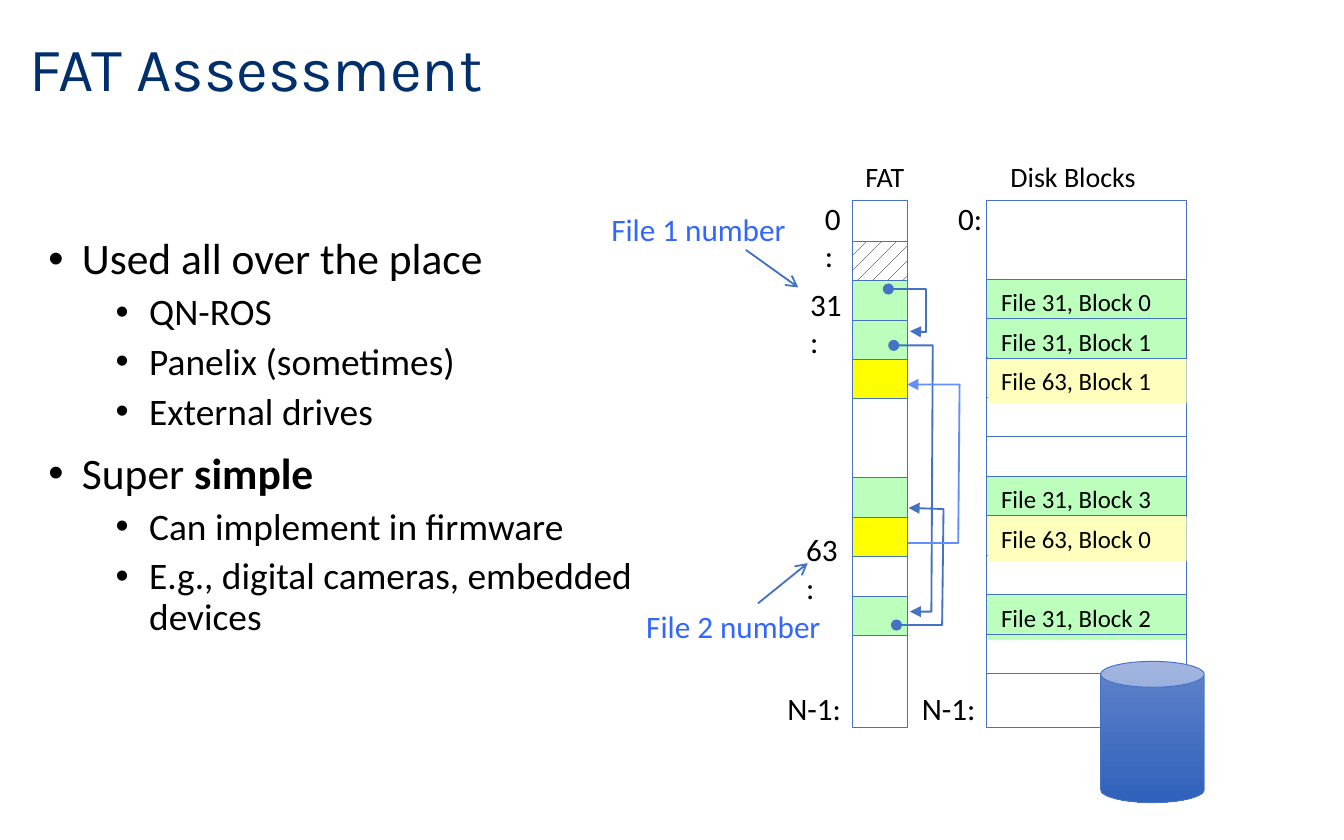
"""Build the FAT assessment slide: bullet list, allocation table and disk blocks."""
from typing import NamedTuple, Optional

from lxml.etree import SubElement
from pptx import Presentation
from pptx.dml.color import RGBColor
from pptx.enum.dml import MSO_PATTERN
from pptx.enum.shapes import MSO_CONNECTOR, MSO_SHAPE
from pptx.enum.text import MSO_ANCHOR, MSO_AUTO_SIZE, PP_ALIGN
from pptx.oxml.ns import qn
from pptx.util import Inches, Pt

BLACK = RGBColor(0x00, 0x00, 0x00)
WHITE = RGBColor(0xFF, 0xFF, 0xFF)
NAVY = RGBColor(0x00, 0x2F, 0x6C)
BLUE = RGBColor(0x44, 0x72, 0xC4)
LIGHT_BLUE = RGBColor(0x61, 0x8F, 0xFD)
LABEL_BLUE = RGBColor(0x33, 0x66, 0xFF)
GREEN = RGBColor(0xBC, 0xFF, 0xBC)
YELLOW = RGBColor(0xFF, 0xFF, 0x00)
PALE_YELLOW = RGBColor(0xFF, 0xFF, 0xBD)
CAN_TOP = RGBColor(0x61, 0x83, 0xCB)
CAN_BOTTOM = RGBColor(0x30, 0x62, 0xBB)

COLUMN = Inches(1)
ROW = Inches(0.2935)
GRID_TOP = Inches(1.49)
FAT_COLUMN, FAT_WIDTH = 6.34, 0.41
DISK_COLUMN, DISK_WIDTH = 7.34, 1.49
TABLE_ROWS = 13.36


class Box(NamedTuple):
    """A rectangle in grid columns and rows."""
    column: float
    row: float
    columns: float
    rows: float


class Block(NamedTuple):
    """A used disk block."""
    row: int
    text: str
    color: RGBColor


class Label(NamedTuple):
    """A free text label."""
    text: str
    box: Box
    size: float = 16.7
    color: RGBColor = BLACK
    wrap: bool = False


class Link(NamedTuple):
    """A bent arrow from one table entry to the next."""
    points: tuple
    color: RGBColor = BLUE
    head: str = "oval"


class Bullet(NamedTuple):
    """A list item made of (text, bold) runs."""
    level: int
    runs: tuple


GREEN_BLOCKS = (
    Block(7, "File 31, Block 3", GREEN),
    Block(2, "File 31, Block 0", GREEN),
    Block(3, "File 31, Block 1", GREEN),
    Block(10, "File 31, Block 2", GREEN),
)
YELLOW_BLOCKS = (
    Block(4, "File 63, Block 1", PALE_YELLOW),
    Block(8, "File 63, Block 0", PALE_YELLOW),
)
EMPTY_ROWS = (5, 6, 9, 11)
GREEN_ENTRIES = (2, 3, 7, 10)
YELLOW_ENTRIES = (4, 8)

LABELS = (
    Label("Disk Blocks", Box(7.42, -1.19, 1.35, 1.19), 15),
    Label("FAT", Box(6.34, -1.19, 0.54, 1.19), 15),
    Label("N-1:", Box(6.76, 12.23, 0.62, 1.29)),
    Label("0:", Box(7.03, -0.2, 0.39, 1.29)),
    Label("0:", Box(6.04, -0.2, 0.37, 1.29), wrap=True),
    Label("N-1:", Box(5.76, 12.23, 0.63, 1.29)),
    Label("63:", Box(5.9, 8.21, 0.49, 1.29), wrap=True),
    Label("31:", Box(5.93, 1.98, 0.49, 1.29), wrap=True),
    Label("File 1 number", Box(4.45, 0.1, 1.51, 1.29), color=LABEL_BLUE),
    Label("File 2 number", Box(4.71, 10.15, 1.51, 1.29), color=LABEL_BLUE),
)
LINKS = (
    Link(((6.61, 2.25), (6.89, 2.25), (6.89, 3.34), (6.77, 3.32))),
    Link(((6.65, 3.68), (6.94, 3.68), (6.93, 10.43), (6.77, 10.43))),
    Link(((6.67, 10.77), (7.01, 10.77), (7.02, 7.83), (6.76, 7.8))),
    Link(((6.63, 8.69), (7.13, 8.69), (7.14, 4.67), (6.75, 4.67)), LIGHT_BLUE, "diamond"),
)
POINTERS = (((5.55, 1.26), (5.94, 2.21)), ((5.64, 10.22), (6.01, 9.2)))
BULLETS = (
    Bullet(0, (("Used all over the place", False),)),
    Bullet(1, (("QN-ROS", False),)),
    Bullet(1, (("Panelix (sometimes)", False),)),
    Bullet(1, (("External drives", False),)),
    Bullet(0, (("Super ", False), ("simple", True))),
    Bullet(1, (("Can implement in firmware", False),)),
    Bullet(1, (("E.g., digital cameras, embedded devices", False),)),
)


def point(column: float, row: float) -> tuple:
    """Turn a grid position into slide lengths."""
    return int(column * COLUMN), int(GRID_TOP + row * ROW)


def frame(box: Box) -> tuple:
    """Turn a grid box into left, top, width and height."""
    return (*point(box.column, box.row), int(box.columns * COLUMN), int(box.rows * ROW))


def place(shape, box: Box) -> None:
    """Move a placeholder to a grid box."""
    shape.left, shape.top, shape.width, shape.height = frame(box)


def add_run(paragraph, text: str, size: float, color: RGBColor, font: str = "Calibri", bold: bool = False) -> None:
    """Append a formatted run."""
    run = paragraph.add_run()
    run.text = text
    run.font.size, run.font.name, run.font.bold = Pt(size), font, bold
    run.font.color.rgb = color


def add_box(slide, box: Box, color: Optional[RGBColor] = None, outlined: bool = True, kind=MSO_SHAPE.RECTANGLE):
    """Draw a preset shape with optional fill and outline."""
    shape = slide.shapes.add_shape(kind, *frame(box))
    shape.shadow.inherit = False
    if color is None:
        shape.fill.background()
    else:
        shape.fill.solid()
        shape.fill.fore_color.rgb = color
    if outlined:
        shape.line.color.rgb, shape.line.width = BLUE, Pt(0.5)
    else:
        shape.line.fill.background()
    return shape


def add_entry(slide, row: float, color: Optional[RGBColor] = None):
    """Draw one cell of the allocation table."""
    return add_box(slide, Box(FAT_COLUMN, row + 0.04, FAT_WIDTH, 1), color)


def add_block(slide, block: Block) -> None:
    """Draw a disk block with its caption."""
    add_box(slide, Box(DISK_COLUMN, block.row, DISK_WIDTH, 1), block.color)
    caption = add_box(slide, Box(7.35, block.row + 0.03, 1.48, 1.12), block.color, False)
    caption.text_frame.vertical_anchor = MSO_ANCHOR.TOP
    paragraph = caption.text_frame.paragraphs[0]
    paragraph.alignment = PP_ALIGN.LEFT
    add_run(paragraph, block.text, 13.3, BLACK)


def add_label(slide, label: Label) -> None:
    """Draw a text label."""
    text_frame = slide.shapes.add_textbox(*frame(label.box)).text_frame
    text_frame.word_wrap = label.wrap
    add_run(text_frame.paragraphs[0], label.text, label.size, label.color)


def style_arrow(shape, color: RGBColor, tail: str, head: Optional[str] = None) -> None:
    """Set the line of an arrow and its two ends."""
    shape.line.color.rgb, shape.line.width = color, Pt(1)
    line = shape.line._get_or_add_ln()
    if head:
        SubElement(line, qn("a:headEnd"), type=head)
    SubElement(line, qn("a:tailEnd"), type=tail)


def add_link(slide, link: Link) -> None:
    """Draw a bent arrow."""
    start, *others = (point(*position) for position in link.points)
    builder = slide.shapes.build_freeform(*start)
    builder.add_line_segments(others, close=False)
    shape = builder.convert_to_shape()
    shape.shadow.inherit = False
    shape.fill.background()
    style_arrow(shape, link.color, "triangle", link.head)


def add_pointer(slide, start: tuple, end: tuple) -> None:
    """Draw a straight arrow."""
    connector = slide.shapes.add_connector(MSO_CONNECTOR.STRAIGHT, *point(*start), *point(*end))
    SubElement(connector._element.spPr, qn("a:effectLst"))
    style_arrow(connector, BLUE, "arrow")


def fill_title(title) -> None:
    """Write the slide title."""
    place(title, Box(0.12, -4.74, 8.52, 2.93))
    title.text_frame.vertical_anchor = MSO_ANCHOR.MIDDLE
    title.text_frame.auto_size = MSO_AUTO_SIZE.NONE
    paragraph = title.text_frame.paragraphs[0]
    paragraph.alignment, paragraph.line_spacing = PP_ALIGN.LEFT, 0.9
    add_run(paragraph, "FAT Assessment", 33, NAVY, "Karla")


def fill_body(body) -> None:
    """Write the bullet list."""
    place(body, Box(0.28, 0.8, 4.56, 13.55))
    text_frame = body.text_frame
    text_frame.auto_size, text_frame.vertical_anchor = MSO_AUTO_SIZE.NONE, MSO_ANCHOR.TOP
    text_frame.margin_left = text_frame.margin_right = Inches(0.08)
    text_frame.margin_top = text_frame.margin_bottom = Inches(0.04)
    for index, bullet in enumerate(BULLETS):
        paragraph = text_frame.add_paragraph() if index else text_frame.paragraphs[0]
        paragraph.level, paragraph.line_spacing = bullet.level, 0.9
        paragraph.space_before = Pt((5 if bullet.level else 10) if index else 0)
        properties = paragraph._p.get_or_add_pPr()
        properties.set("marL", str(Inches(0.25 + 0.5 * bullet.level)))
        properties.set("indent", str(-Inches(0.25)))
        SubElement(properties, qn("a:buFont"), typeface="Arial")
        SubElement(properties, qn("a:buChar"), char="•")
        for text, bold in bullet.runs:
            add_run(paragraph, text, 20 if bullet.level else 23.3, BLACK, bold=bold)


def main() -> None:
    """Build and save the presentation."""
    presentation = Presentation()
    presentation.slide_width, presentation.slide_height = Inches(10), Inches(6.25)
    slide = presentation.slides.add_slide(presentation.slide_layouts[1])
    fill_title(slide.shapes.title)
    fill_body(slide.placeholders[1])
    for block in GREEN_BLOCKS:
        add_block(slide, block)
    for row in EMPTY_ROWS:
        add_box(slide, Box(DISK_COLUMN, row, DISK_WIDTH, 1))
    hatched = add_entry(slide, 1)
    hatched.fill.patterned()
    hatched.fill.pattern = MSO_PATTERN.PERCENT_10
    hatched.fill.fore_color.rgb, hatched.fill.back_color.rgb = BLACK, WHITE
    for column, width in ((FAT_COLUMN, FAT_WIDTH), (DISK_COLUMN, DISK_WIDTH)):
        add_box(slide, Box(column, 0, width, TABLE_ROWS))
    for row in GREEN_ENTRIES:
        add_entry(slide, row, GREEN)
    for link in LINKS:
        add_link(slide, link)
    for row in YELLOW_ENTRIES:
        add_entry(slide, row, YELLOW)
    for block in YELLOW_BLOCKS:
        add_block(slide, block)
    disk = add_box(slide, Box(8.19, 11.69, 0.77, 3.58), BLUE, kind=MSO_SHAPE.CAN)
    disk.fill.gradient()
    disk.fill.gradient_angle = 270
    for stop, color in zip(disk.fill.gradient_stops, (CAN_TOP, CAN_BOTTOM)):
        stop.color.rgb = color
    for label in LABELS:
        add_label(slide, label)
    for start, end in POINTERS:
        add_pointer(slide, start, end)
    presentation.save("out.pptx")


if __name__ == "__main__":
    main()
